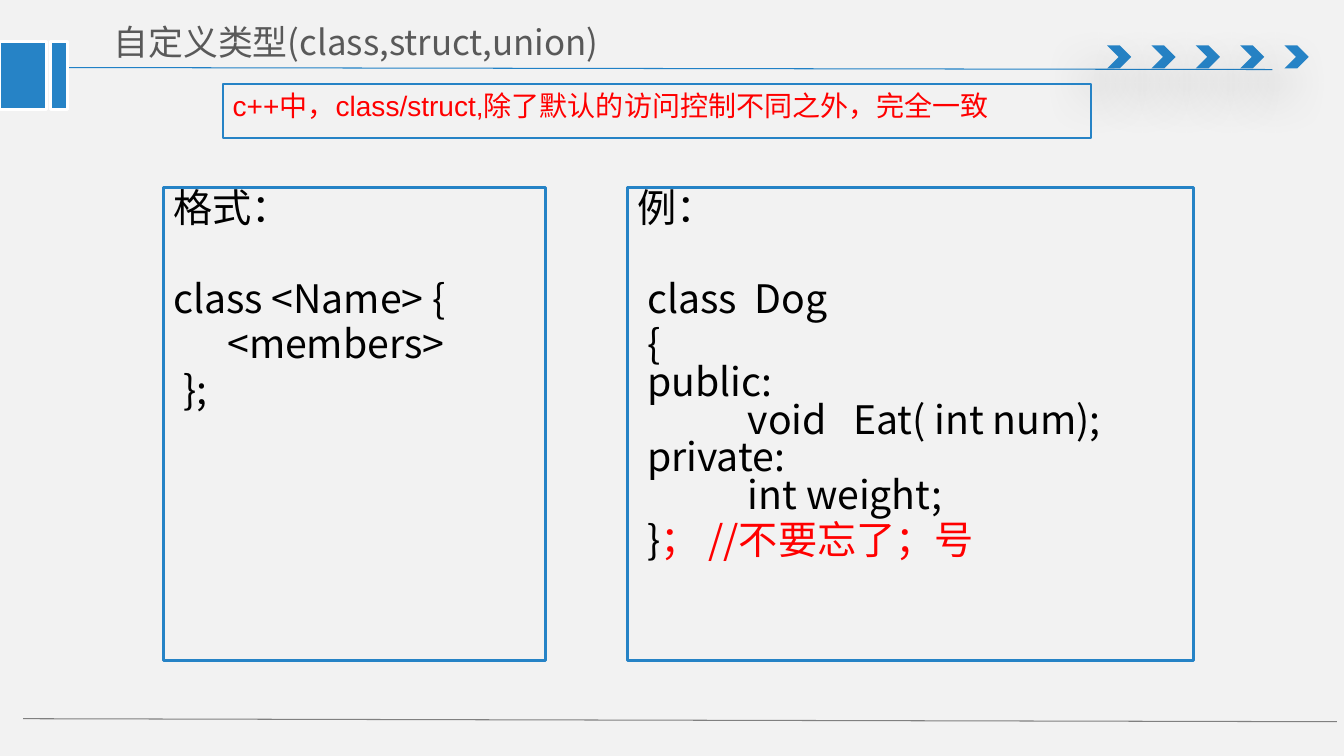
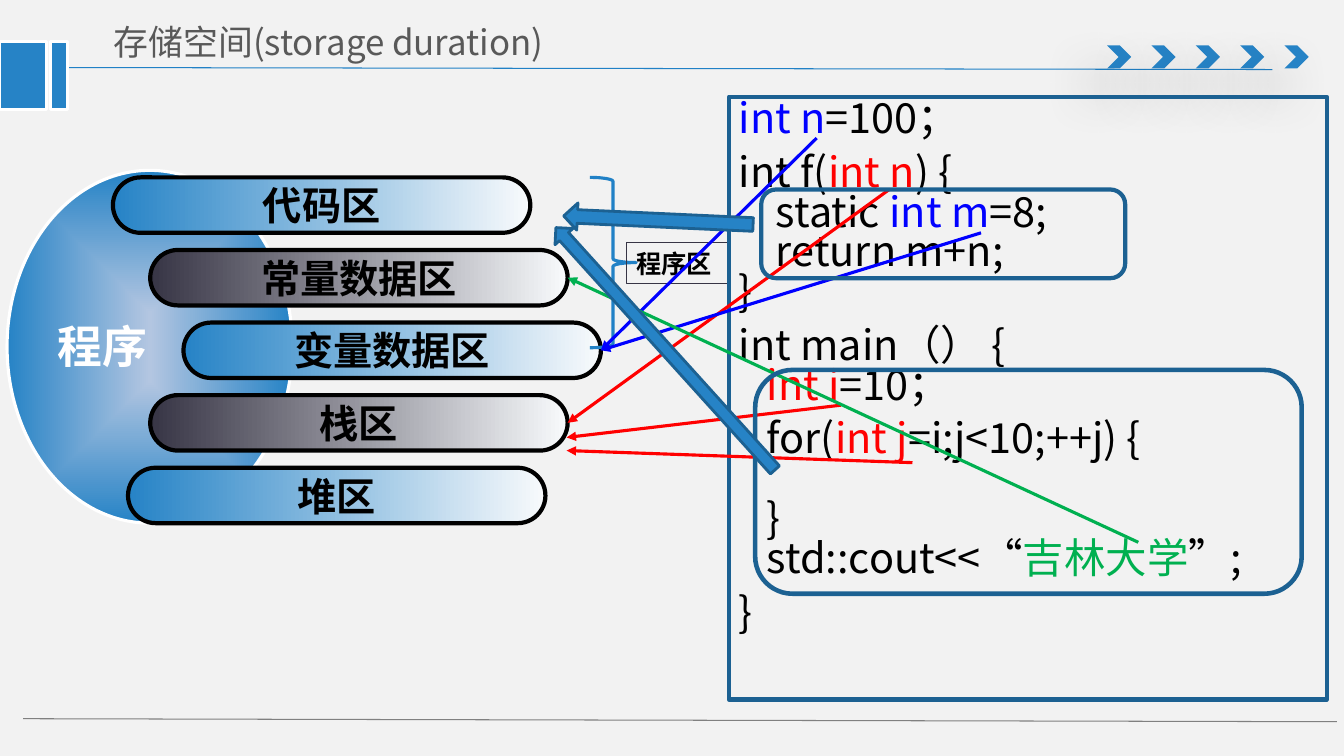
from lxml.etree import SubElement
from pptx import Presentation
from pptx.dml.color import RGBColor
from pptx.enum.shapes import MSO_CONNECTOR, MSO_SHAPE as Preset
from pptx.enum.text import MSO_ANCHOR as Anchor, MSO_AUTO_SIZE, PP_ALIGN as Align
from pptx.oxml.ns import qn
from pptx.util import Inches, Pt

BLUE = RGBColor(0x26, 0x83, 0xC6)
RULE_BLUE = RGBColor(0x21, 0x81, 0xC6)
DEEP_BLUE = RGBColor(0x1C, 0x61, 0x92)
PALE_BLUE = RGBColor(0xB3, 0xC6, 0xE1)
ICE = RGBColor(0xF8, 0xFA, 0xFC)
SLATE = RGBColor(0x37, 0x35, 0x45)
BACKGROUND = RGBColor(0xF2, 0xF2, 0xF2)
TITLE_GRAY = RGBColor(0x59, 0x59, 0x59)
RULE_GRAY = RGBColor(0x80, 0x80, 0x80)
WHITE = RGBColor(0xFF, 0xFF, 0xFF)
BLACK = RGBColor(0, 0, 0)
RED = RGBColor(0xFF, 0, 0)
CODE_BLUE = RGBColor(0, 0, 0xFF)
GREEN = RGBColor(0, 0xB0, 0x50)
SANS = "Noto Sans CJK SC"

NOTE = "c++中，class/struct,除了默认的访问控制不同之外，完全一致"
FORMAT_CODE = [
    {"runs": ["格式："]},
    {"runs": ["class <Name> {"], "before": 38},
    {"runs": ["     <members>"], "indent": 0.1},
    {"runs": ["};"], "indent": 0.1},
]
EXAMPLE_CODE = [
    {"runs": ["例："]},
    {"runs": ["class  Dog"], "indent": 0.1, "before": 38},
    {"runs": ["{\npublic:\n       \tvoid   Eat( int num);\nprivate:\n       \tint weight;"],
     "indent": 0.1},
    {"runs": ["}", ("； //不要忘了；号", RED)], "indent": 0.1},
]
STORAGE_CODE = [
    {"runs": [("int n", CODE_BLUE), "=100；"]},
    {"runs": ["int f(", ("int n", RED), ") {\n    static ", ("int m", CODE_BLUE),
              "=8;\n    return m+n;\n}"]},
    {"runs": ["int main（） {\n   ", ("int i", RED), "=10；"]},
    {"runs": ["   for(", ("int j", RED), "=i;j<10;++j) {"]},
    {"runs": ["   }\n   std::cout<<“", ("吉林大学", GREEN), "”;"], "before": 28.5},
    {"runs": ["}"]},
]
AREAS = [("代码区", 1.12), ("常量数据区", 1.49), ("变量数据区", 1.82),
         ("栈区", 1.49), ("堆区", 1.27)]
AREA_COLORS = [BLUE, SLATE]
AREA_TOP, AREA_STEP = 1.76, 0.72
ARROWS = [
    ((8.82, 1.88), (5.62, 4.21), RED, "栈区"),
    ((8.34, 4.02), (5.62, 4.34), RED, None),
    ((9.73, 2.31), (5.96, 3.48), CODE_BLUE, "变量数据区"),
    ((8.1, 1.37), (5.96, 3.48), CODE_BLUE, "变量数据区"),
    ((9.05, 4.59), (5.62, 4.47), RED, None),
    ((11.29, 5.38), (5.62, 2.76), GREEN, "常量数据区"),
]
CODE_FRAMES = [((7.55, 1.88, 3.61, 0.88), 3), ((7.49, 3.67, 5.42, 2.22), 3.25)]
BLOCK_ARROWS = [((5.59, 2.05, 1.88, 0.27), 2.6), ((4.98, 3.34, 3.24, 0.24), 47.9)]


def add_outer_shadow(effects, blur, distance, angle, alpha):
    shadow = SubElement(effects, qn("a:outerShdw"), blurRad=str(Pt(blur)),
                        dist=str(Pt(distance)), dir=str(angle * 60000))
    color = SubElement(shadow, qn("a:srgbClr"), val="000000")
    SubElement(color, qn("a:alpha"), val=str(alpha * 1000))


def write_text(frame, paragraphs, size=18, font=SANS, color=BLACK, bold=False,
               align=Align.LEFT, anchor=Anchor.TOP, wrap=True, before=0,
               spacing=None, shadow=False):
    frame.word_wrap = wrap
    frame.vertical_anchor = anchor
    if isinstance(paragraphs, str):
        paragraphs = [{"runs": [paragraphs]}]
    for index, content in enumerate(paragraphs):
        paragraph = frame.add_paragraph() if index else frame.paragraphs[0]
        paragraph.alignment = align
        if spacing:
            paragraph.line_spacing = spacing
        if index:
            paragraph.space_before = Pt(content.get("before", before))
        if "indent" in content:
            properties = paragraph._p.get_or_add_pPr()
            properties.set("marL", str(Inches(content["indent"])))
            properties.set("indent", "0")
        for item in content["runs"]:
            text, run_color = (item, color) if isinstance(item, str) else item
            for line_number, line in enumerate(text.split("\n")):
                if line_number:
                    paragraph.add_line_break()
                if not line:
                    continue
                run = paragraph.add_run()
                run.text = line
                run.font.size, run.font.bold = Pt(size), bold
                run.font.color.rgb = run_color
                properties = run._r.get_or_add_rPr()
                if shadow:
                    effects = SubElement(properties, qn("a:effectLst"))
                    add_outer_shadow(effects, 0, 2, 45, 100)
                run.font.name = font
                SubElement(properties, qn("a:ea"), typeface=SANS)


def add_box(slide, preset, place, fill=None, line=None, width=1):
    shape = slide.shapes.add_shape(preset, *map(Inches, place))
    shape.shadow.inherit = False
    if fill is None:
        shape.fill.background()
    elif isinstance(fill, RGBColor):
        shape.fill.solid()
        shape.fill.fore_color.rgb = fill
    else:
        shape.fill.gradient()
        shape.fill.gradient_angle = 0
        for stop, color, position in zip(shape.fill.gradient_stops, fill, (0, 1)):
            stop.color.rgb = color
            stop.position = position
    if line is None:
        shape.line.fill.background()
    else:
        shape.line.color.rgb = line
        shape.line.width = Pt(width)
    return shape


def add_line(slide, start, end, color, width, target=None, arrow=False):
    connector = slide.shapes.add_connector(
        MSO_CONNECTOR.STRAIGHT, *map(Inches, start + end))
    connector.line.color.rgb = color
    connector.line.width = Pt(width)
    if arrow:
        SubElement(connector.line._get_or_add_ln(), qn("a:tailEnd"), type="triangle")
    SubElement(connector.element.spPr, qn("a:effectLst"))
    if target is not None:
        connector.end_connect(target, 3)
    return connector


def style_layout(presentation, layout, slide):
    fill = presentation.slide_master.background.fill
    fill.solid()
    fill.fore_color.rgb = BACKGROUND
    for placeholder in list(layout.placeholders):
        if placeholder.placeholder_format.idx:
            placeholder.element.getparent().remove(placeholder.element)
            continue
        placeholder.left, placeholder.top = Inches(0.99), Inches(0.14)
        placeholder.width, placeholder.height = Inches(6.42), Inches(0.55)
        frame = placeholder.text_frame
        frame.auto_size = MSO_AUTO_SIZE.NONE
        frame.margin_left = frame.margin_right = Inches(0.14)
        frame.margin_top = frame.margin_bottom = Inches(0.07)
    parts = [add_line(slide, (0.53, 0.67), (12.62, 0.69), RULE_BLUE, 0.75)]
    for index in range(5):
        chevron = add_box(slide, Preset.CHEVRON,
                          (10.98 + 0.44 * index, 0.45, 0.24, 0.23), BLUE)
        effects = chevron.element.spPr.find(qn("a:effectLst"))
        add_outer_shadow(effects, 36, 24, 130, 38)
        parts.append(chevron)
    parts.append(add_line(slide, (0.23, 7.13), (13.26, 7.16), RULE_GRAY, 0.75))
    for left, width in ((0, 0.46), (0.5, 0.17)):
        parts.append(add_box(slide, Preset.RECTANGLE, (left, 0.41, width, 0.68),
                             BLUE, WHITE, 2))
    for part in parts:
        layout.shapes.element.append(part.element)


def set_title(slide, text):
    write_text(slide.shapes.title.text_frame, text, size=24.9, color=TITLE_GRAY,
               anchor=Anchor.MIDDLE)


def build_class_slide(slide):
    set_title(slide, "自定义类型(class,struct,union)")
    note = add_box(slide, Preset.RECTANGLE, (2.21, 0.83, 8.61, 0.54), None, BLUE, 1.5)
    write_text(note.text_frame, NOTE, size=20, font="Arial", color=RED)
    for code, left, width in ((FORMAT_CODE, 1.62, 3.79), (EXAMPLE_CODE, 6.22, 5.62)):
        panel = add_box(slide, Preset.RECTANGLE, (left, 1.86, width, 4.69),
                        None, BLUE, 2.25)
        write_text(panel.text_frame, code, size=28, spacing=0.8, before=5.5)


def build_storage_slide(slide):
    set_title(slide, "存储空间(storage duration)")
    program = add_box(slide, Preset.OVAL, (0.07, 1.69, 2.83, 3.5),
                      (PALE_BLUE, BLUE), WHITE, 2.25)
    gradient = program.element.spPr.find(qn("a:gradFill"))
    gradient.remove(gradient.find(qn("a:lin")))
    radial = SubElement(gradient, qn("a:path"), path="shape")
    SubElement(radial, qn("a:fillToRect"), l="50000", t="50000", r="50000", b="50000")

    areas = {}
    for index, (name, left) in enumerate(AREAS):
        area = add_box(slide, Preset.ROUNDED_RECTANGLE,
                       (left, AREA_TOP + AREA_STEP * index, 4.14, 0.55),
                       (AREA_COLORS[index % 2], ICE), BLACK, 3)
        area.adjustments[0] = 0.5
        write_text(area.text_frame, name, size=28, font="Calibri", bold=True,
                   align=Align.CENTER, anchor=Anchor.MIDDLE, wrap=False)
        areas[name] = area

    label = slide.shapes.add_textbox(*map(Inches, (0.47, 3.11, 1.1, 0.64)))
    write_text(label.text_frame, "程序", size=32, font="Calibri", color=WHITE,
               bold=True, align=Align.CENTER, wrap=False, shadow=True)
    add_box(slide, Preset.RIGHT_BRACE, (5.85, 1.76, 0.46, 1.69), None, RULE_BLUE, 2.25)
    region = add_box(slide, Preset.RECTANGLE, (6.21, 2.41, 1.02, 0.4), None, SLATE, 0.75)
    write_text(region.text_frame, "程序区", font="Calibri", bold=True)
    panel = add_box(slide, Preset.RECTANGLE, (7.23, 0.96, 5.93, 5.98),
                    None, DEEP_BLUE, 3)
    write_text(panel.text_frame, STORAGE_CODE, size=29.6, spacing=0.8, before=10)

    for start, end, color, target in ARROWS:
        add_line(slide, start, end, color, 2.25, areas.get(target), arrow=True)
    for place, width in CODE_FRAMES:
        add_box(slide, Preset.ROUNDED_RECTANGLE, place, None, DEEP_BLUE, width)
    for place, rotation in BLOCK_ARROWS:
        arrow = add_box(slide, Preset.LEFT_ARROW, place, BLUE, DEEP_BLUE, 2)
        arrow.rotation = rotation


def main():
    presentation = Presentation()
    presentation.slide_width, presentation.slide_height = Inches(13.33), Inches(7.5)
    layout = presentation.slide_layouts[5]
    class_slide = presentation.slides.add_slide(layout)
    style_layout(presentation, layout, class_slide)
    build_class_slide(class_slide)
    build_storage_slide(presentation.slides.add_slide(layout))
    presentation.save("out.pptx")


if __name__ == "__main__":
    main()
